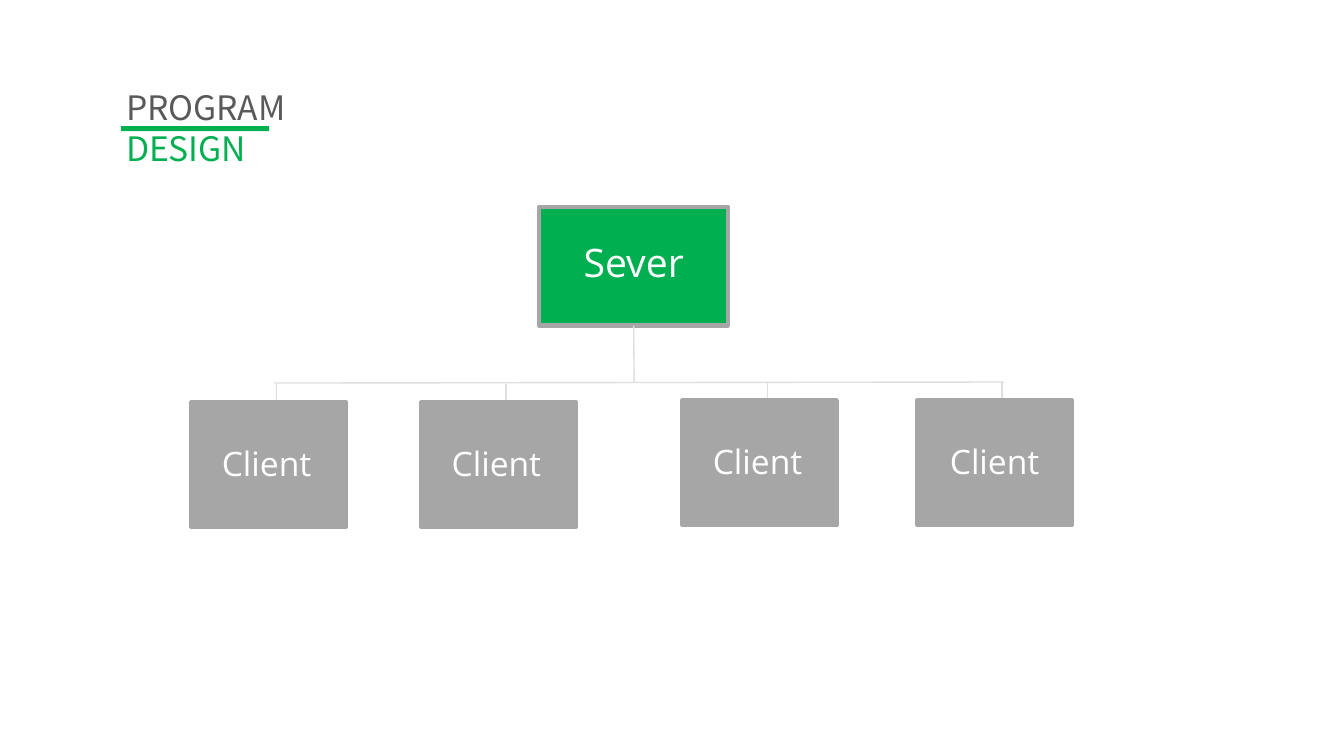
from dataclasses import dataclass

from lxml import etree
from pptx import Presentation
from pptx.dml.color import RGBColor
from pptx.enum.shapes import MSO_CONNECTOR, MSO_SHAPE
from pptx.enum.text import MSO_ANCHOR, MSO_AUTO_SIZE, PP_ALIGN
from pptx.oxml.ns import qn
from pptx.util import Inches, Pt

RECT = MSO_SHAPE.RECTANGLE
STRAIGHT = MSO_CONNECTOR.STRAIGHT
LEFT, CENTER = PP_ALIGN.LEFT, PP_ALIGN.CENTER
TOP, MIDDLE = MSO_ANCHOR.TOP, MSO_ANCHOR.MIDDLE
NO_FIT = MSO_AUTO_SIZE.NONE

GREEN = RGBColor(0x00, 0xB0, 0x50)
GRAY = RGBColor(0xA6, 0xA6, 0xA6)
DARK = RGBColor(0x59, 0x59, 0x59)
PALE = RGBColor(0xDC, 0xDE, 0xE0)
WHITE = RGBColor(0xFF, 0xFF, 0xFF)
TITLE_FONT, NODE_FONT = "Noto Sans CJK KR", "Open Sans"

# Grid: every column and row is a tenth of an inch
COLS, ROWS = 133.3, 75
CLIENT_W, CLIENT_H = 15.3, 12.4
STUB_SHIFT, STUB_RISE, STUB_LEN = 8.4, 1.8, 1.6
BOTTOM_SIDE = 2


@dataclass
class Node:
    label: str
    col: float
    row: float
    width: float = CLIENT_W
    height: float = CLIENT_H
    fill: RGBColor = GRAY
    size: int = 24
    align: PP_ALIGN = LEFT
    left_inset: float = 3
    bottom_inset: float = 1


SERVER = Node("Sever", 53.5, 20.5, 18.7, 11.8, GREEN, 28, CENTER, 1.3, 1.4)
CLIENTS = [
    Node("Client", 19, 39.9),
    Node("Client", 41.8, 39.9),
    Node("Client", 67.7, 39.7),
    Node("Client", 91, 39.7, align=CENTER, left_inset=1.3),
]


def grid(n: float) -> int:
    return Inches(n / 10)


def set_all(target, values: dict) -> None:
    for name, value in values.items():
        setattr(target, name, value)


def add_run(p, text: str, font: str, size: int, color: RGBColor) -> None:
    r = p.add_run()
    r.text = text
    set_all(r.font, {"name": font, "size": Pt(size)})
    r.font.color.rgb = color


def add_rect(s, col: float, row: float, width: float, height: float, fill: RGBColor):
    sp = s.shapes.add_shape(RECT, *map(grid, (col, row, width, height)))
    sp.shadow.inherit = False
    sp.fill.solid()
    sp.fill.fore_color.rgb = fill
    sp.line.fill.background()
    return sp


def add_node(s, node: Node):
    sp = add_rect(s, node.col, node.row, node.width, node.height, node.fill)
    sp.line.color.rgb = GRAY
    sp.line.width = Pt(3)
    etree.SubElement(sp.line._get_or_add_ln(), qn("a:round"))
    tf = sp.text_frame
    set_all(tf, {
        "word_wrap": True, "vertical_anchor": MIDDLE,
        "margin_left": grid(node.left_inset), "margin_right": grid(1.3),
        "margin_top": grid(0.6), "margin_bottom": grid(node.bottom_inset),
    })
    p = tf.paragraphs[0]
    p.alignment = node.align
    add_run(p, node.label, NODE_FONT, node.size, WHITE)
    return sp


def add_line(s, x1: float, y1: float, x2: float, y2: float):
    line = s.shapes.add_connector(STRAIGHT, *map(grid, (x1, y1, x2, y2)))
    line.line.color.rgb = PALE
    line.line.width = Pt(1)
    etree.SubElement(line._element.spPr, qn("a:effectLst"))
    return line


def add_title(s) -> None:
    title = s.shapes.title
    set_all(title, {"left": grid(11.5), "top": grid(8),
                    "width": grid(28.1), "height": grid(9.2)})
    tf = title.text_frame
    set_all(tf, {"word_wrap": True, "auto_size": NO_FIT, "vertical_anchor": TOP})
    p = tf.paragraphs[0]
    set_all(p, {"alignment": LEFT, "line_spacing": Pt(29.3)})
    add_run(p, "PROGRAM", TITLE_FONT, 24, DARK)
    p.add_line_break()
    add_run(p, "DESIGN", TITLE_FONT, 24, GREEN)


def main() -> None:
    prs = Presentation()
    prs.slide_width, prs.slide_height = grid(COLS), grid(ROWS)
    s = prs.slides.add_slide(prs.slide_layouts[5])

    # Title with its green rule
    add_title(s)
    add_rect(s, 12, 12.5, 14.7, 0.5, GREEN)

    # Rail and the trunk down from the server
    add_line(s, 27.2, 38, 99.6, 37.9)
    server = add_node(s, SERVER)
    trunk = add_line(s, 63, 32.3, 62.9, 38)
    trunk.begin_connect(server, BOTTOM_SIDE)

    # Clients hanging from the rail
    for client in CLIENTS:
        x, y = client.col + STUB_SHIFT, client.row - STUB_RISE
        add_line(s, x, y, x, y + STUB_LEN)
        add_node(s, client)

    prs.save("out.pptx")


if __name__ == "__main__":
    main()
